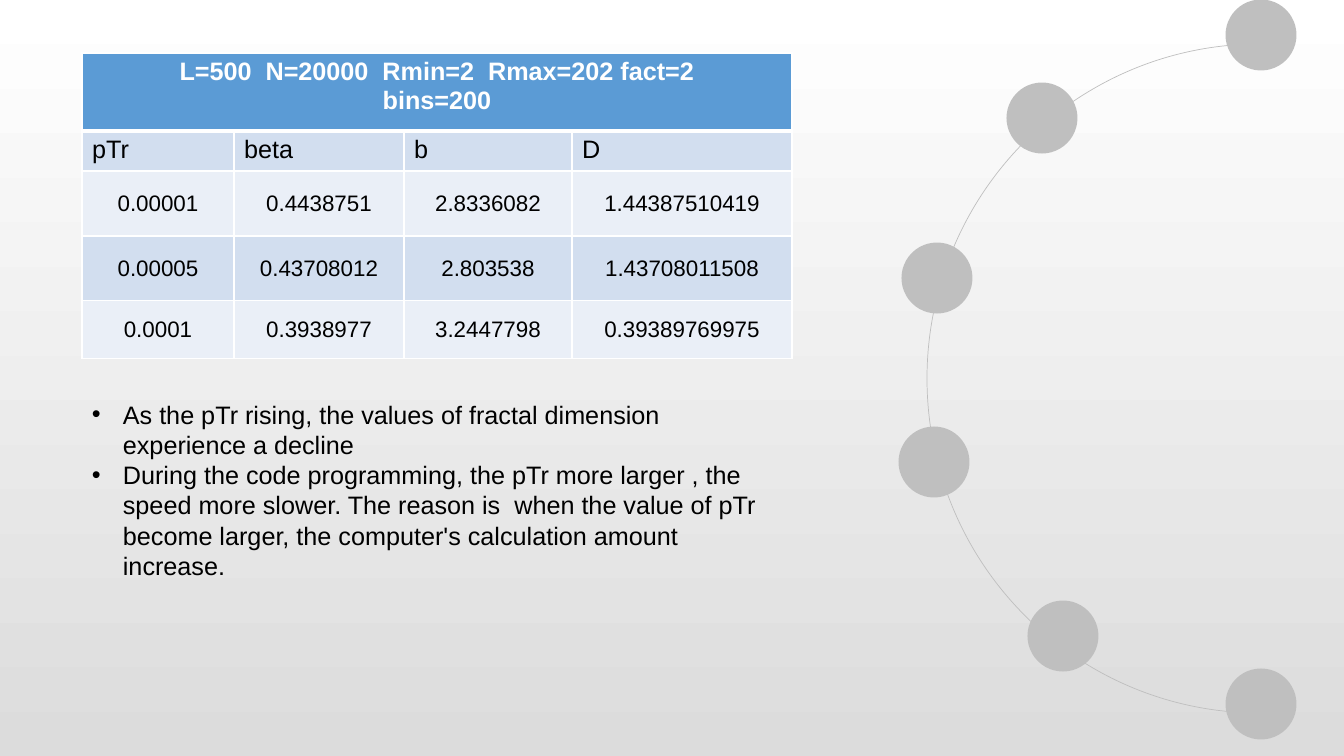
from lxml import etree
from pptx import Presentation
from pptx.dml.color import RGBColor
from pptx.enum.shapes import MSO_SHAPE
from pptx.enum.text import MSO_ANCHOR, PP_ALIGN
from pptx.oxml.ns import qn
from pptx.util import Pt

ARC, OVAL = MSO_SHAPE.ARC, MSO_SHAPE.OVAL
LEFT, CENTER = PP_ALIGN.LEFT, PP_ALIGN.CENTER
TOP, MIDDLE = MSO_ANCHOR.TOP, MSO_ANCHOR.MIDDLE

COLORS = {
    "page_top": "FFFFFF", "page_bottom": "DCDCDC", "ring": "BFBFBF",
    "header": "5B9BD5", "dark_band": "D2DEEF", "light_band": "EAEFF7",
    "white": "FFFFFF", "black": "000000",
}

HEADER = "L=500  N=20000  Rmin=2  Rmax=202 fact=2\nbins=200"
ROWS = [
    ("pTr", "beta", "b", "D"),
    ("0.00001", "0.4438751", "2.8336082", "1.44387510419"),
    ("0.00005", "0.43708012", "2.803538", "1.43708011508"),
    ("0.0001", "0.3938977", "3.2447798", "0.39389769975"),
]
FINDINGS = [
    "As the pTr rising, the values of fractal dimension experience a decline",
    "During the code programming, the pTr more larger , the speed more slower. "
    "The reason is  when the value of pTr become larger, the computer's "
    "calculation amount increase.",
]

# All lengths in px
SLIDE = (1344, 756)
TABLE_AT = (82, 53)
COLUMN_WIDTHS = (152, 170, 168, 220)
ROW_HEIGHTS = (78, 40, 65, 65, 58)
FINDINGS_BOX = (82, 394, 710, 224)
BULLET_INDENT = 31
ARC_BOX = (925, 46, 669, 665)
ARC_START = 108.8
DOT_SIZE = 71
DOT_CENTERS = [(1261, 35), (1042, 118), (937, 278),
               (934, 462), (1063, 636), (1261, 704)]

HEADER_FONT = {"name": "Arial", "size": Pt(18), "bold": True}
TEXT_FONT = {"name": "Arial", "size": Pt(18), "bold": False}
VALUE_FONT = {"name": "Arial", "size": Pt(16), "bold": False}


def px(length):
    return round(length * 914400 / 100.8)


def rgb(key):
    return RGBColor.from_string(COLORS[key])


def format_paragraph(paragraph, font, color, align):
    paragraph.alignment = align
    for attribute, value in font.items():
        setattr(paragraph.font, attribute, value)
    paragraph.font.color.rgb = rgb(color)


def paint_background(slide):
    fill = slide.background.fill
    fill.gradient()
    fill.gradient_angle = 270
    for stop, key, position in zip(fill.gradient_stops,
                                   ("page_top", "page_bottom"), (0, 1)):
        stop.color.rgb = rgb(key)
        stop.position = position


def add_ring(slide):
    arc = slide.shapes.add_shape(ARC, *map(px, ARC_BOX))
    arc.adjustments[0] = ARC_START
    arc.rotation = 270
    arc.shadow.inherit = False
    arc.fill.background()
    arc.line.color.rgb = rgb("ring")
    arc.line.width = Pt(0.5)
    for x, y in DOT_CENTERS:
        corner = (x - DOT_SIZE / 2, y - DOT_SIZE / 2)
        dot = slide.shapes.add_shape(OVAL, *map(px, (*corner, DOT_SIZE, DOT_SIZE)))
        dot.shadow.inherit = False
        dot.fill.solid()
        dot.fill.fore_color.rgb = rgb("ring")
        dot.line.fill.background()


def set_borders(cell, widths):
    """Draw white borders; widths maps a side (L, R, T, B) to points."""
    properties = cell._tc.get_or_add_tcPr()
    for index, (side, width) in enumerate(widths.items()):
        line = etree.Element(qn(f"a:ln{side}"), w=str(Pt(width)))
        solid = etree.SubElement(line, qn("a:solidFill"))
        etree.SubElement(solid, qn("a:srgbClr"), val=COLORS["white"])
        properties.insert(index, line)


def fill_cell(cell, text, fill, font, color, align, anchor):
    cell.text = text
    cell.vertical_anchor = anchor
    cell.fill.solid()
    cell.fill.fore_color.rgb = rgb(fill)
    for paragraph in cell.text_frame.paragraphs:
        format_paragraph(paragraph, font, color, align)


def add_results(slide):
    size = (sum(COLUMN_WIDTHS), sum(ROW_HEIGHTS))
    table = slide.shapes.add_table(len(ROW_HEIGHTS), len(COLUMN_WIDTHS),
                                   *map(px, TABLE_AT + size)).table
    for column, width in zip(table.columns, COLUMN_WIDTHS):
        column.width = px(width)
    for row, height in zip(table.rows, ROW_HEIGHTS):
        row.height = px(height)

    title = table.cell(0, 0)
    title.merge(table.cell(0, len(COLUMN_WIDTHS) - 1))
    fill_cell(title, HEADER, "header", HEADER_FONT, "white", CENTER, TOP)
    for r, values in enumerate(ROWS, start=1):
        band = "dark_band" if r % 2 else "light_band"
        style = (TEXT_FONT, "black", LEFT, TOP) if r == 1 else (
            VALUE_FONT, "black", CENTER, MIDDLE)
        for c, value in enumerate(values):
            fill_cell(table.cell(r, c), value, band, *style)

    for r, row in enumerate(table.rows):
        for cell in row.cells:
            set_borders(cell, {"L": 1, "R": 1, "T": 3 if r == 1 else 1,
                               "B": 3 if r == 0 else 1})


def add_findings(slide):
    frame = slide.shapes.add_textbox(*map(px, FINDINGS_BOX)).text_frame
    frame.word_wrap = True
    frame.text = "\n".join(FINDINGS)
    for paragraph in frame.paragraphs:
        properties = paragraph._p.get_or_add_pPr()
        properties.set("marL", str(px(BULLET_INDENT)))
        properties.set("indent", str(-px(BULLET_INDENT)))
        etree.SubElement(properties, qn("a:buFont"), typeface="Arial")
        etree.SubElement(properties, qn("a:buChar"), char="•")
        format_paragraph(paragraph, TEXT_FONT, "black", LEFT)


def main():
    deck = Presentation()
    deck.slide_width, deck.slide_height = map(px, SLIDE)
    slide = deck.slides.add_slide(deck.slide_layouts[6])
    paint_background(slide)
    add_ring(slide)
    add_results(slide)
    add_findings(slide)
    deck.save("out.pptx")


if __name__ == "__main__":
    main()
